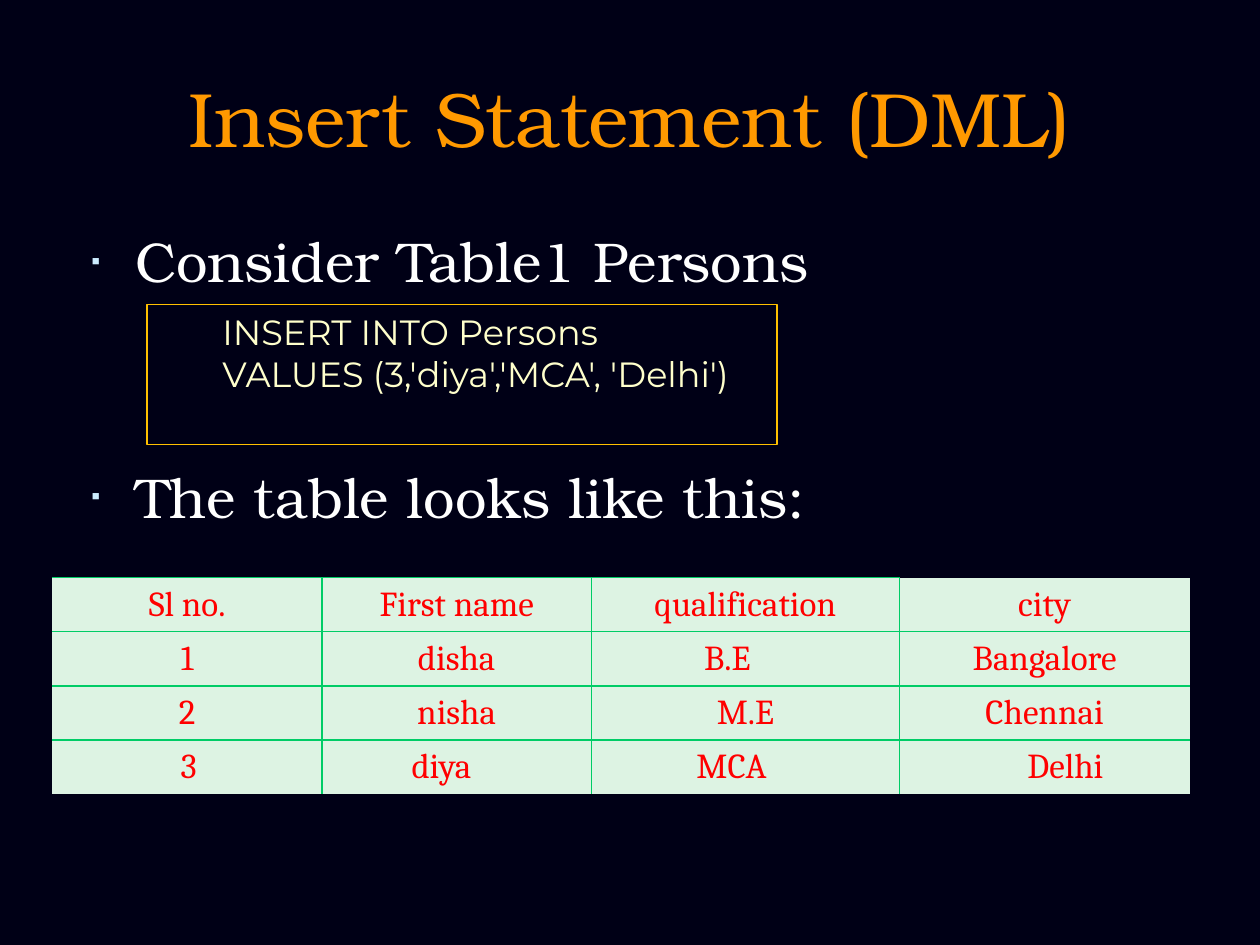
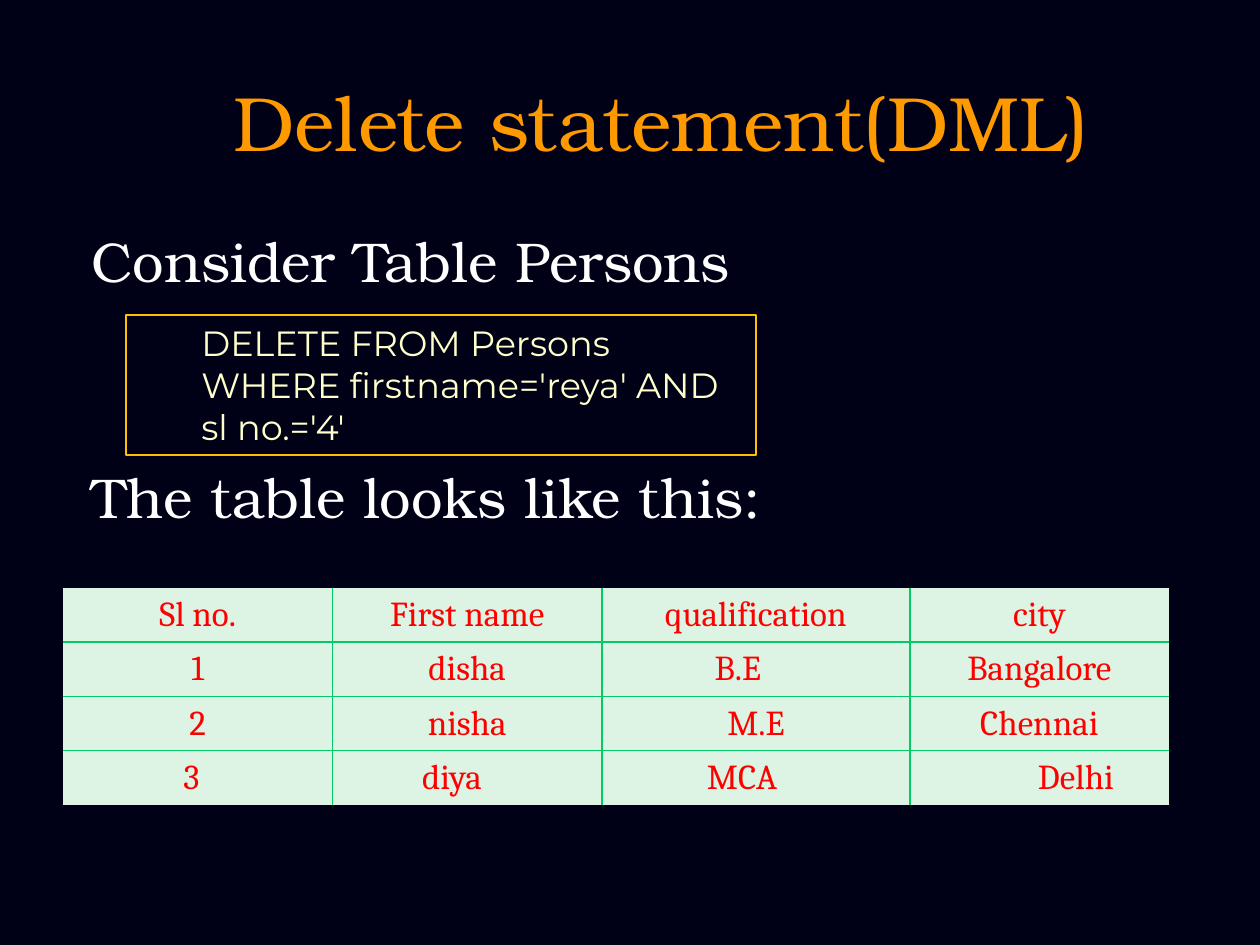
"""Build two slides on the SQL insert and delete statements."""
from lxml import etree
from pptx import Presentation
from pptx.dml.color import RGBColor
from pptx.enum.shapes import MSO_SHAPE
from pptx.enum.text import MSO_ANCHOR, MSO_AUTO_SIZE, PP_ALIGN
from pptx.oxml.ns import qn
from pptx.util import Pt

RECTANGLE = MSO_SHAPE.RECTANGLE
TOP, MIDDLE = MSO_ANCHOR.TOP, MSO_ANCHOR.MIDDLE
NO_AUTOFIT = MSO_AUTO_SIZE.NONE
LEFT, CENTER = PP_ALIGN.LEFT, PP_ALIGN.CENTER

COLORS = {
    "background": "000016",
    "title": "FF9900",
    "body": "FFFFFF",
    "bullet": "CCECFF",
    "code": "FFFFCC",
    "code_border": "FFC000",
    "cell": "DDF3E3",
    "cell_text": "FF0000",
    "grid": "00CC66",
    "edge": "FFFFFF",
}
HEADING_FONT, CODE_FONT, TABLE_FONT = "TeX Gyre Bonum", "Montserrat", "Cambria"
ROW_HEIGHT = 31
BODY_GAP = 96
HEADER = ["Sl no.", "First name", "qualification", "city"]
PERSONS = [
    ["1", "disha", "B.E", "Bangalore"],
    ["2", "nisha", "M.E", "Chennai"],
    ["3", "diya", "MCA", "Delhi"],
]
CELL_INDENTS = {"B.E": 57.2, "3": 66, "diya": 44, "MCA": 52.8, "Delhi": 66}


def rgb(name):
    """Return the named colour."""
    return RGBColor.from_string(COLORS[name])


def style_runs(p, font, size, color):
    """Format every run of a paragraph."""
    for r in p.runs:
        r.font.name = font
        r.font.size = Pt(size)
        r.font.bold = False
        r.font.color.rgb = rgb(color)


def place(s, left, top, width, height):
    """Move and size a shape, in points."""
    s.left, s.top, s.width, s.height = Pt(left), Pt(top), Pt(width), Pt(height)


def set_indent(p, margin, first_line=0):
    """Set the left margin and first-line indent of a paragraph."""
    p_pr = p._p.get_or_add_pPr()
    p_pr.set("marL", str(Pt(margin)))
    p_pr.set("indent", str(Pt(first_line)))


def set_bullet(p, bulleted):
    """Give a paragraph a small square bullet, or none."""
    p_pr = p._p.get_or_add_pPr()
    if not bulleted:
        etree.SubElement(p_pr, qn("a:buNone"))
        return
    color = etree.SubElement(p_pr, qn("a:buClr"))
    etree.SubElement(color, qn("a:srgbClr"), val=COLORS["bullet"])
    etree.SubElement(p_pr, qn("a:buSzPct"), val="45000")
    etree.SubElement(p_pr, qn("a:buChar"), char="▪")


def fill_title(slide, text, left, top):
    """Fill and place the title placeholder."""
    s = slide.shapes.title
    place(s, left, top, 648, 90)
    tf = s.text_frame
    tf.text = text
    tf.auto_size = NO_AUTOFIT
    tf.vertical_anchor = MIDDLE
    p = tf.paragraphs[0]
    p.alignment = CENTER
    style_runs(p, HEADING_FONT, 44, "title")


def fill_body(slide, lines, height, bulleted):
    """Fill the body placeholder, leaving room for the code between lines."""
    s = slide.placeholders[1]
    place(s, 36, 126, 648, height)
    tf = s.text_frame
    tf.text = "\n".join(lines)
    tf.auto_size = NO_AUTOFIT
    for i, p in enumerate(tf.paragraphs):
        p.space_before = Pt(BODY_GAP if i else 0)
        set_indent(p, 34, -25)
        set_bullet(p, bulleted)
        style_runs(p, HEADING_FONT, 32, "body")


def add_code_box(slide, code, left, top):
    """Add an outlined box with indented SQL."""
    s = slide.shapes.add_shape(RECTANGLE, Pt(left), Pt(top), Pt(360), Pt(80))
    s.shadow.inherit = False
    s.fill.background()
    s.line.color.rgb = rgb("code_border")
    s.line.width = Pt(0.75)
    tf = s.text_frame
    tf.text = code
    tf.word_wrap = True
    tf.vertical_anchor = TOP
    for p in tf.paragraphs:
        p.alignment = LEFT
        set_indent(p, 36)
        style_runs(p, CODE_FONT, 20, "code")


def set_borders(cell, outer_sides):
    """Draw a green grid line on inner sides and a hairline on outer ones."""
    tc_pr = cell._tc.get_or_add_tcPr()
    for i, side in enumerate(("L", "R", "T", "B")):
        outer = side in outer_sides
        width = Pt(0.03 if outer else 1)
        line = etree.Element(qn(f"a:ln{side}"), w=str(width))
        fill = etree.SubElement(line, qn("a:solidFill"))
        color = COLORS["edge" if outer else "grid"]
        etree.SubElement(fill, qn("a:srgbClr"), val=color)
        tc_pr.insert(i, line)


def fill_cell(cell, text, indent):
    """Write a cell, centred unless it has its own indent."""
    cell.fill.solid()
    cell.fill.fore_color.rgb = rgb("cell")
    cell.margin_top = Pt(5)
    cell.text_frame.text = text
    p = cell.text_frame.paragraphs[0]
    p.line_spacing = 0.93
    p.alignment = LEFT if indent else CENTER
    set_indent(p, indent)
    style_runs(p, TABLE_FONT, 20, "cell_text")


def add_persons_table(slide, left, top, city_width, indents, green_top=0):
    """Add the persons table; green_top counts columns with a green top line."""
    rows = [HEADER, *PERSONS]
    widths = [154, 154, 176, city_width]
    last_row, last_col = len(rows) - 1, len(widths) - 1
    frame = slide.shapes.add_table(
        len(rows), len(widths), Pt(left), Pt(top),
        Pt(sum(widths)), Pt(ROW_HEIGHT * len(rows)))
    table = frame.table
    table.first_row = table.horz_banding = False
    for column, width in zip(table.columns, widths):
        column.width = Pt(width)
    for i, row in enumerate(rows):
        table.rows[i].height = Pt(ROW_HEIGHT)
        for j, text in enumerate(row):
            cell = table.cell(i, j)
            fill_cell(cell, text, indents.get(text, 0))
            edges = {"L": j == 0, "R": j == last_col,
                     "T": i == 0 and j >= green_top, "B": i == last_row}
            set_borders(cell, [side for side, outer in edges.items() if outer])


def main():
    """Build and save the presentation."""
    prs = Presentation()
    prs.slide_width, prs.slide_height = Pt(720), Pt(540)
    background = prs.slide_master.background.fill
    background.solid()
    background.fore_color.rgb = rgb("background")
    layout = prs.slide_layouts[1]

    slide = prs.slides.add_slide(layout)
    fill_title(slide, "Insert Statement (DML)", 36, 21.6)
    fill_body(slide, ["Consider Table1 Persons", "The table looks like this:"],
              204, bulleted=True)
    add_persons_table(slide, 30, 330, 166, CELL_INDENTS, green_top=3)
    add_code_box(
        slide, "INSERT INTO Persons\nVALUES (3,'diya','MCA', 'Delhi')", 84, 174)

    slide = prs.slides.add_slide(layout)
    fill_title(slide, "Delete statement(DML)", 54, 24)
    fill_body(slide, ["Consider Table Persons", "The table looks like this:"],
              174, bulleted=False)
    add_persons_table(slide, 36, 336, 148, {**CELL_INDENTS, "3": 61.6})
    add_code_box(
        slide, "DELETE FROM Persons WHERE firstname='reya' AND sl no.='4'",
        72, 180)

    prs.save("out.pptx")


if __name__ == "__main__":
    main()
